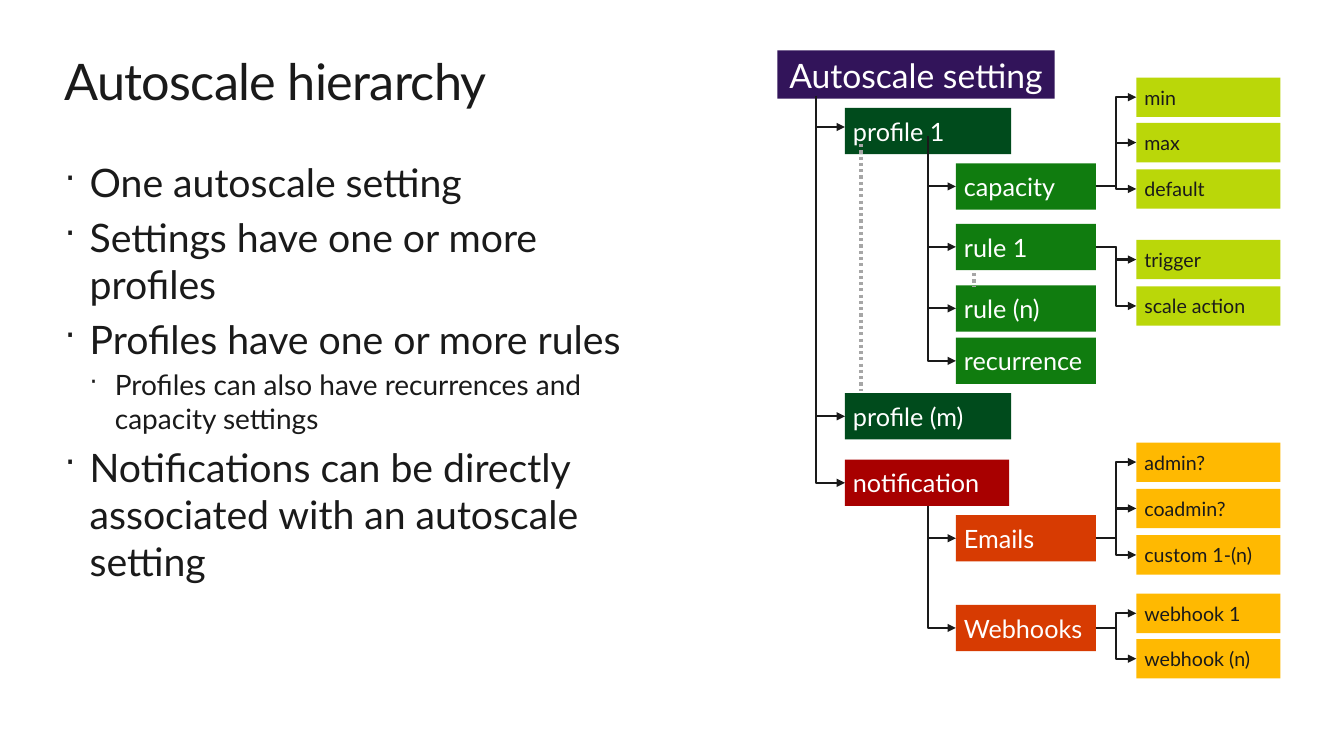
from dataclasses import dataclass
from typing import Any

from lxml import etree
from pptx import Presentation
from pptx import util as u
from pptx.dml.color import RGBColor
from pptx.enum import dml, shapes, text
from pptx.oxml.ns import qn


@dataclass(frozen=True)
class Theme:
    font: str = "Lato"
    ink: str = "1A1A1A"
    white: str = "FFFFFF"
    purple: str = "32145A"
    forest: str = "004B1C"
    green: str = "107C0F"
    lime: str = "BAD709"
    red: str = "A80000"
    orange: str = "D73B02"
    amber: str = "FFB901"
    grey: str = "A6A6A6"
    title: float = 36
    bullet: float = 28
    sub_bullet: float = 20
    root: float = 24
    node: float = 18
    leaf: float = 14
    wire: float = 1.5
    dots: float = 2.25


THEME = Theme()


@dataclass(frozen=True)
class Kind:
    left: float
    width: float
    height: float
    fill: str
    size: float = THEME.node
    ink: str = THEME.white


@dataclass(frozen=True)
class Box:
    label: str
    kind: Kind
    top: float

    @property
    def middle(self) -> float:
        return self.top + self.kind.height / 2

    @property
    def right(self) -> float:
        return self.kind.left + self.kind.width


@dataclass(frozen=True)
class Drop:
    x: float
    y: float
    child: str
    shift: float = 0


@dataclass(frozen=True)
class Bullet:
    words: str
    level: int = 0


ROOT = Kind(7.71, 2.75, 0.48, THEME.purple, THEME.root)
PROFILE = Kind(8.38, 1.65, 0.46, THEME.forest)
NOTICE = Kind(8.38, 1.63, 0.46, THEME.red)
PART = Kind(9.48, 1.39, 0.46, THEME.green)
CHANNEL = Kind(9.48, 1.39, 0.46, THEME.orange)
VALUE = Kind(11.27, 1.43, 0.39, THEME.lime, THEME.leaf, THEME.ink)
TARGET = Kind(11.27, 1.43, 0.39, THEME.amber, THEME.leaf, THEME.ink)

BOXES = [
    Box("Autoscale setting", ROOT, 0.5),
    Box("profile 1", PROFILE, 1.07),
    Box("capacity", PART, 1.62),
    Box("rule 1", PART, 2.22),
    Box("rule (n)", PART, 2.83),
    Box("recurrence", PART, 3.35),
    Box("min", VALUE, 0.77),
    Box("max", VALUE, 1.22),
    Box("default", VALUE, 1.68),
    Box("trigger", VALUE, 2.38),
    Box("scale action", VALUE, 2.84),
    Box("profile (m)", PROFILE, 3.9),
    Box("notification", NOTICE, 4.56),
    Box("Emails", CHANNEL, 5.11),
    Box("admin?", TARGET, 4.39),
    Box("coadmin?", TARGET, 4.85),
    Box("custom 1-(n)", TARGET, 5.31),
    Box("Webhooks", CHANNEL, 6),
    Box("webhook 1", TARGET, 5.89),
    Box("webhook (n)", TARGET, 6.34),
]

DROPS = [
    Drop(8.09, 0.95, "profile 1", -0.04),
    Drop(8.09, 0.98, "profile (m)"),
    Drop(8.09, 1.64, "notification"),
    Drop(9.2, 1.51, "capacity"),
    Drop(9.2, 1.35, "rule 1"),
    Drop(9.2, 1.43, "rule (n)"),
    Drop(9.2, 1.43, "recurrence"),
    Drop(9.2, 5.02, "Emails"),
    Drop(9.2, 5.07, "Webhooks"),
]

FANS = {
    "capacity": ["min", "max", "default"],
    "rule 1": ["trigger", "scale action"],
    "Emails": ["admin?", "coadmin?", "custom 1-(n)"],
    "Webhooks": ["webhook 1", "webhook (n)"],
}

DOTTED = [(8.54, 1.43, 3.88), (9.66, 2.71, 2.85)]

BULLETS = [
    Bullet("One autoscale setting"),
    Bullet("Settings have one or more profiles"),
    Bullet("Profiles have one or more rules"),
    Bullet("Profiles can also have recurrences and capacity settings", 1),
    Bullet("Notifications can be directly associated with an autoscale setting"),
]


def apply(target: Any, values: dict[str, Any]) -> None:
    for name, value in values.items():
        setattr(target, name, value)


def set_frame(tf: Any, insets: tuple[float, ...], anchor: Any) -> None:
    sides = ("margin_left", "margin_top", "margin_right", "margin_bottom")
    apply(tf, {side: u.Inches(n) for side, n in zip(sides, insets)})
    apply(tf, {"word_wrap": True, "vertical_anchor": anchor,
               "auto_size": text.MSO_AUTO_SIZE.SHAPE_TO_FIT_TEXT})


def add_run(p: Any, words: str, size: float, ink: str) -> Any:
    r = p.add_run()
    r.text = words
    apply(r.font, {"name": THEME.font, "size": u.Pt(size)})
    r.font.color.rgb = RGBColor.from_string(ink)
    return r


def add_text_area(s: Any, left: float, top: float, width: float, height: float) -> Any:
    tf = s.shapes.add_textbox(*map(u.Inches, (left, top, width, height))).text_frame
    set_frame(tf, (0, 0, 0, 0), text.MSO_ANCHOR.TOP)
    return tf


def add_bullet(p: Any, bullet: Bullet) -> None:
    size = THEME.sub_bullet if bullet.level else THEME.bullet
    apply(p, {"level": bullet.level, "space_before": u.Pt(size * 0.2)})
    add_run(p, bullet.words, size, THEME.ink)
    pPr = p._p.get_or_add_pPr()
    pPr.set("marL", str(u.Inches(0.25 * (bullet.level + 1))))
    pPr.set("indent", str(u.Inches(-0.25)))
    etree.SubElement(pPr, qn("a:buSzPct")).set("val", "90000")
    etree.SubElement(pPr, qn("a:buChar")).set("char", "·")


def add_box(s: Any, box: Box) -> None:
    kind = box.kind
    area = map(u.Inches, (kind.left, box.top, kind.width, kind.height))
    sp = s.shapes.add_shape(shapes.MSO_SHAPE.RECTANGLE, *area)
    sp.shadow.inherit = False
    sp.fill.solid()
    sp.fill.fore_color.rgb = RGBColor.from_string(kind.fill)
    sp.line.fill.background()
    is_root = kind is ROOT
    set_frame(sp.text_frame, (0.04,) * 4 if is_root else (0.08, 0.08, 0.04, 0.08),
              text.MSO_ANCHOR.TOP if is_root else text.MSO_ANCHOR.MIDDLE)
    p = sp.text_frame.paragraphs[0]
    p.alignment = text.PP_ALIGN.CENTER if is_root else text.PP_ALIGN.LEFT
    add_run(p, box.label, kind.size, kind.ink)


def add_wire(s: Any, x1: float, y1: float, x2: float, y2: float, dotted: bool = False) -> Any:
    style = shapes.MSO_CONNECTOR.STRAIGHT if dotted else shapes.MSO_CONNECTOR.ELBOW
    wire = s.shapes.add_connector(style, *map(u.Inches, (x1, y1, x2, y2)))
    wire.line.color.rgb = RGBColor.from_string(THEME.grey if dotted else THEME.ink)
    wire.line.width = u.Pt(THEME.dots if dotted else THEME.wire)
    spPr = wire._element.spPr
    if dotted:
        wire.line.dash_style = dml.MSO_LINE.ROUND_DOT
    else:
        etree.SubElement(spPr.find(qn("a:ln")), qn("a:tailEnd")).set("type", "triangle")
    etree.SubElement(spPr, qn("a:effectLst"))
    return wire


def add_drop(s: Any, drop: Drop, child: Box) -> None:
    x2, y2 = child.kind.left, child.middle + drop.shift
    wire = add_wire(s, drop.x, drop.y, x2, y2)
    across, down = x2 - drop.x, y2 - drop.y
    area = {"left": (drop.x + x2 - down) / 2, "top": (drop.y + y2 - across) / 2,
            "width": down, "height": across}
    apply(wire, {name: u.Inches(n) for name, n in area.items()})
    spPr = wire._element.spPr
    xfrm = spPr.find(qn("a:xfrm"))
    xfrm.set("rot", str(270 * 60000))
    xfrm.set("flipH", "1")
    spPr.find(qn("a:prstGeom")).set("prst", "bentConnector2")


def main() -> None:
    prs = Presentation()
    apply(prs, {"slide_width": u.Inches(13.33), "slide_height": u.Inches(7.5)})
    s = prs.slides.add_slide(prs.slide_layouts[6])
    title = add_text_area(s, 0.64, 0.5, 12.05, 0.61)
    r = add_run(title.paragraphs[0], "Autoscale hierarchy", THEME.title, THEME.ink)
    r._r.get_or_add_rPr().set("spc", "-50")
    body = add_text_area(s, 0.64, 1.57, 6, 3.85)
    for i, bullet in enumerate(BULLETS):
        add_bullet(body.add_paragraph() if i else body.paragraphs[0], bullet)
    for box in BOXES:
        add_box(s, box)
    by_label = {box.label: box for box in BOXES}
    for parent, children in FANS.items():
        start = by_label[parent]
        for child in map(by_label.get, children):
            add_wire(s, start.right, start.middle, child.kind.left, child.middle)
    for drop in DROPS:
        add_drop(s, drop, by_label[drop.child])
    for x, top, bottom in DOTTED:
        add_wire(s, x, top, x, bottom, dotted=True)
    prs.save("out.pptx")


if __name__ == "__main__":
    main()
